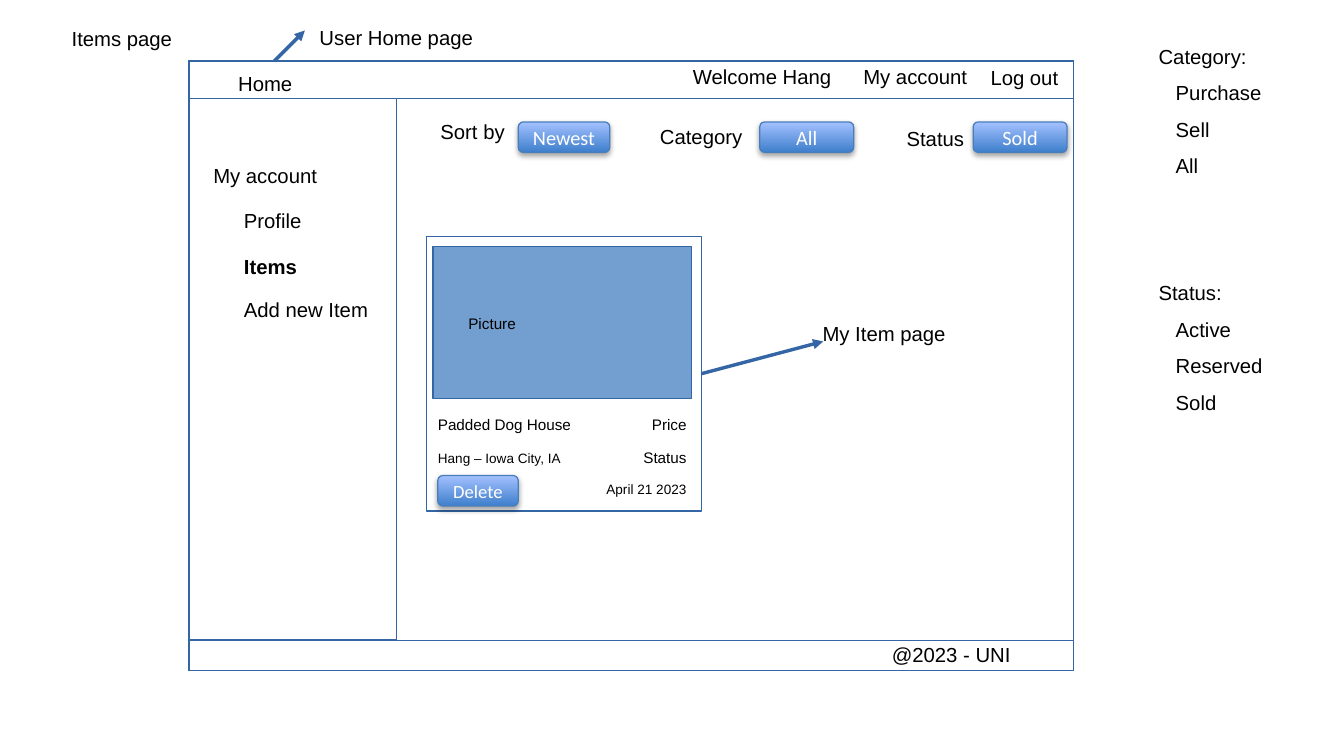
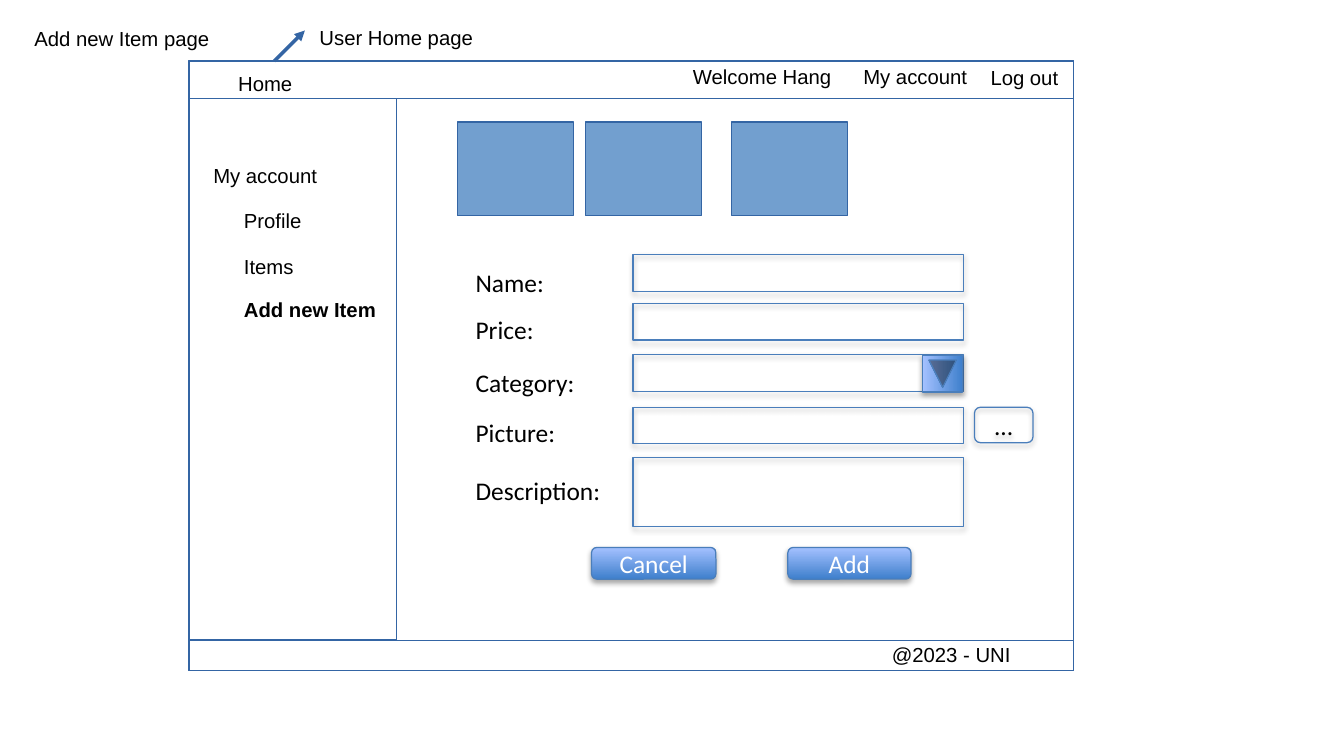
from dataclasses import dataclass

from lxml.etree import SubElement
from pptx import Presentation
from pptx.dml.color import RGBColor
from pptx.enum.shapes import MSO_CONNECTOR as Link, MSO_SHAPE as Kind
from pptx.enum.text import MSO_ANCHOR as Anchor, MSO_AUTO_SIZE as Fit, PP_ALIGN as Align
from pptx.oxml.ns import qn
from pptx.shapes.autoshape import Shape
from pptx.shapes.connector import Connector
from pptx.slide import Slide
from pptx.text.text import TextFrame, _Paragraph as Para
from pptx.util import Pt

SCALE = 9144
HEX = {
    "ink": "000000",
    "paper": "FFFFFF",
    "rule": "3465A4",
    "photo": "729FCF",
    "edge": "4A7EBB",
    "deep": "3E7FCC",
    "pale": "A4C1FF",
}
SANS, ROUND = "Arial", "Calibri"


@dataclass(frozen=True)
class Box:
    x: int
    y: int
    w: int
    h: int

    def emu(self) -> tuple[int, ...]:
        return tuple(n * SCALE for n in (self.x, self.y, self.w, self.h))


@dataclass(frozen=True)
class Label:
    text: str
    box: Box
    size: int = 12
    align: Align = Align.CENTER
    bold: bool = False
    face: str = SANS


@dataclass(frozen=True)
class Button:
    text: str
    box: Box
    size: int = 12
    solid: bool = True


@dataclass(frozen=True)
class Field:
    name: str
    top: int
    text_y: int
    high: int = 30


@dataclass(frozen=True)
class Group:
    head: str
    items: tuple[str, ...]
    top: int


BARS = [
    Box(155, 50, 725, 500),
    Box(155, 525, 725, 25),
    Box(155, 50, 725, 31),
    Box(155, 81, 170, 444),
]
SHARED = [
    Label("Welcome Hang", Box(550, 44, 150, 37)),
    Label("My account", Box(688, 44, 125, 37)),
    Label("Log out", Box(800, 50, 80, 27)),
    Label("Home", Box(155, 50, 125, 37)),
    Label("User Home page", Box(250, 12, 150, 37)),
    Label("@2023 - UNI", Box(680, 523, 200, 27)),
    Label("My account", Box(155, 125, 125, 37)),
]
MENU = {"Profile": 162, "Items": 200, "Add new Item": 235}

CARD = Box(350, 194, 225, 225)
PHOTO = Box(355, 202, 212, 125)
DETAILS = [
    Label("Padded Dog House", Box(359, 335, 141, 27), 9, Align.LEFT),
    Label("Hang – Iowa City, IA", Box(359, 362, 141, 27), 8, Align.LEFT),
    Label("Picture", Box(384, 252, 141, 27), 9, Align.LEFT),
    Label("Price", Box(513, 335, 50, 27), 9, Align.RIGHT),
    Label("Status", Box(513, 362, 50, 27), 9, Align.RIGHT),
    Label("April 21 2023", Box(422, 388, 141, 27), 8, Align.RIGHT),
    Label("My Item page", Box(650, 255, 150, 37)),
    Label("Sort by", Box(350, 94, 75, 27)),
    Label("Category", Box(525, 98, 100, 27)),
    Label("Status", Box(717, 100, 100, 27)),
]
FILTERS = [
    Button("Newest", Box(425, 100, 75, 25)),
    Button("All", Box(623, 100, 77, 25)),
    Button("Sold", Box(798, 100, 77, 25)),
    Button("Delete", Box(359, 390, 66, 25), 11),
]
GROUPS = [
    Group("Category:", ("Purchase", "Sell", "All"), 26),
    Group("Status:", ("Active", "Reserved", "Sold"), 220),
]

FIELDS = [
    Field("Name:", 209, 214),
    Field("Price:", 249, 253),
    Field("Category:", 291, 296),
    Field("Picture:", 334, 337),
    Field("Description:", 375, 385, 57),
]
ACTIONS = [
    Button("Cancel", Box(485, 449, 102, 26), 15),
    Button("Add", Box(646, 449, 101, 26), 15),
    Button("...", Box(799, 334, 48, 29), 15, False),
]
THUMBS = (375, 480, 600)


def tint(key: str) -> RGBColor:
    return RGBColor.from_string(HEX[key])


def place(shape: Shape, box: Box) -> None:
    shape.left, shape.top, shape.width, shape.height = box.emu()


def trim(frame: TextFrame, anchor: Anchor = Anchor.MIDDLE) -> None:
    frame.word_wrap = True
    frame.auto_size = Fit.NONE
    frame.vertical_anchor = anchor
    frame.margin_left = frame.margin_right = 0
    frame.margin_top = frame.margin_bottom = 0


def style(para: Para, size: int, face: str = SANS, key: str = "ink",
          bold: bool = False) -> None:
    font = para.font
    font.name, font.size, font.bold = face, Pt(size), bold
    font.color.rgb = tint(key)


def write(frame: TextFrame, label: Label, key: str = "ink") -> None:
    trim(frame)
    para = frame.paragraphs[0]
    para.text = label.text
    para.alignment = label.align
    style(para, label.size, label.face, key, label.bold)


def add_label(slide: Slide, label: Label) -> None:
    write(slide.shapes.add_textbox(*label.box.emu()).text_frame, label)


def add_panel(slide: Slide, box: Box, key: str = "paper") -> Shape:
    shape = slide.shapes.add_shape(Kind.RECTANGLE, *box.emu())
    shape.shadow.inherit = False
    shape.fill.solid()
    shape.fill.fore_color.rgb = tint(key)
    shape.line.color.rgb = tint("rule")
    shape.line.width = Pt(0)
    return shape


def add_raised(slide: Slide, kind: Kind, box: Box, solid: bool) -> Shape:
    shape = slide.shapes.add_shape(kind, *box.emu())
    shape.line.color.rgb = tint("edge")
    shape.line.width = Pt(0.75)
    if solid:
        shape.fill.gradient()
        shape.fill.gradient_angle = 90
        for stop, key in zip(shape.fill.gradient_stops, ("deep", "pale")):
            stop.color.rgb = tint(key)
    else:
        shape.fill.background()
    shape.shadow.inherit = False
    glow = SubElement(shape._element.spPr.find(qn("a:effectLst")), qn("a:outerShdw"),
                      blurRad="40000", dist="23000", dir="5400000", rotWithShape="0")
    shade = SubElement(glow, qn("a:srgbClr"), val=HEX["ink"])
    SubElement(shade, qn("a:alpha"), val="35000")
    return shape


def add_button(slide: Slide, item: Button) -> None:
    shape = add_raised(slide, Kind.ROUNDED_RECTANGLE, item.box, item.solid)
    label = Label(item.text, item.box, item.size, face=ROUND)
    write(shape.text_frame, label, "paper" if item.solid else "ink")


def add_arrow(slide: Slide, *ends: int) -> Connector:
    line = slide.shapes.add_connector(Link.STRAIGHT, *(n * SCALE for n in ends))
    line.line.color.rgb = tint("rule")
    line.line.width = Pt(0)
    SubElement(line.line._get_or_add_ln(), qn("a:tailEnd"), type="triangle")
    SubElement(line._element.spPr, qn("a:effectLst"))
    return line


def fill_group(shape: Shape, group: Group) -> None:
    place(shape, Box(950, group.top, 100, 120))
    frame = shape.text_frame
    trim(frame, Anchor.TOP)
    frame.text = "\n".join((group.head, *group.items))
    for row, para in enumerate(frame.paragraphs):
        para.line_spacing = Pt(21.6)
        para.space_before = Pt(0)
        props = para._p.get_or_add_pPr()
        props.set("marL", str(14 * SCALE if row else 0))
        props.set("indent", "0")
        SubElement(props, qn("a:buNone"))
        style(para, 12)


def add_page(deck: Presentation, layout: int, title: str, active: str) -> Slide:
    slide = deck.slides.add_slide(deck.slide_layouts[layout])
    box = Box(25, 13, 150, 37)
    place(slide.shapes.title, box)
    write(slide.shapes.title.text_frame, Label(title, box))
    for bar in BARS:
        add_panel(slide, bar)
    for label in SHARED:
        add_label(slide, label)
    for text, top in MENU.items():
        add_label(slide, Label(text, Box(200, top, 125, 37),
                               align=Align.LEFT, bold=text == active))
    add_arrow(slide, 225, 50, 250, 25)
    return slide


def add_items(deck: Presentation) -> None:
    slide = add_page(deck, 3, "Items page", "Items")
    for slot, group in enumerate(GROUPS, 1):
        fill_group(slide.placeholders[slot], group)
    card = add_panel(slide, CARD)
    add_panel(slide, PHOTO, "photo")
    add_arrow(slide, 575, 306, 675, 280).begin_connect(card, 3)
    for label in DETAILS:
        add_label(slide, label)
    for item in FILTERS:
        add_button(slide, item)


def add_form(deck: Presentation) -> None:
    slide = add_page(deck, 5, "Add new Item page", "Add new Item")
    for field in FIELDS:
        add_raised(slide, Kind.RECTANGLE, Box(519, field.top, 271, field.high), False)
        add_label(slide, Label(field.name, Box(390, field.text_y, 125, 35),
                               15, Align.LEFT, face=ROUND))
    drop = add_raised(slide, Kind.ACTION_BUTTON_BACK_OR_PREVIOUS,
                      Box(758, 290, 30, 33), True)
    drop.rotation = 270
    for item in ACTIONS:
        add_button(slide, item)
    for left in THUMBS:
        add_panel(slide, Box(left, 100, 95, 77), "photo")


def main() -> None:
    deck = Presentation()
    deck.slide_width, deck.slide_height = 1102 * SCALE, 620 * SCALE
    add_items(deck)
    add_form(deck)
    deck.save("out.pptx")


if __name__ == "__main__":
    main()
